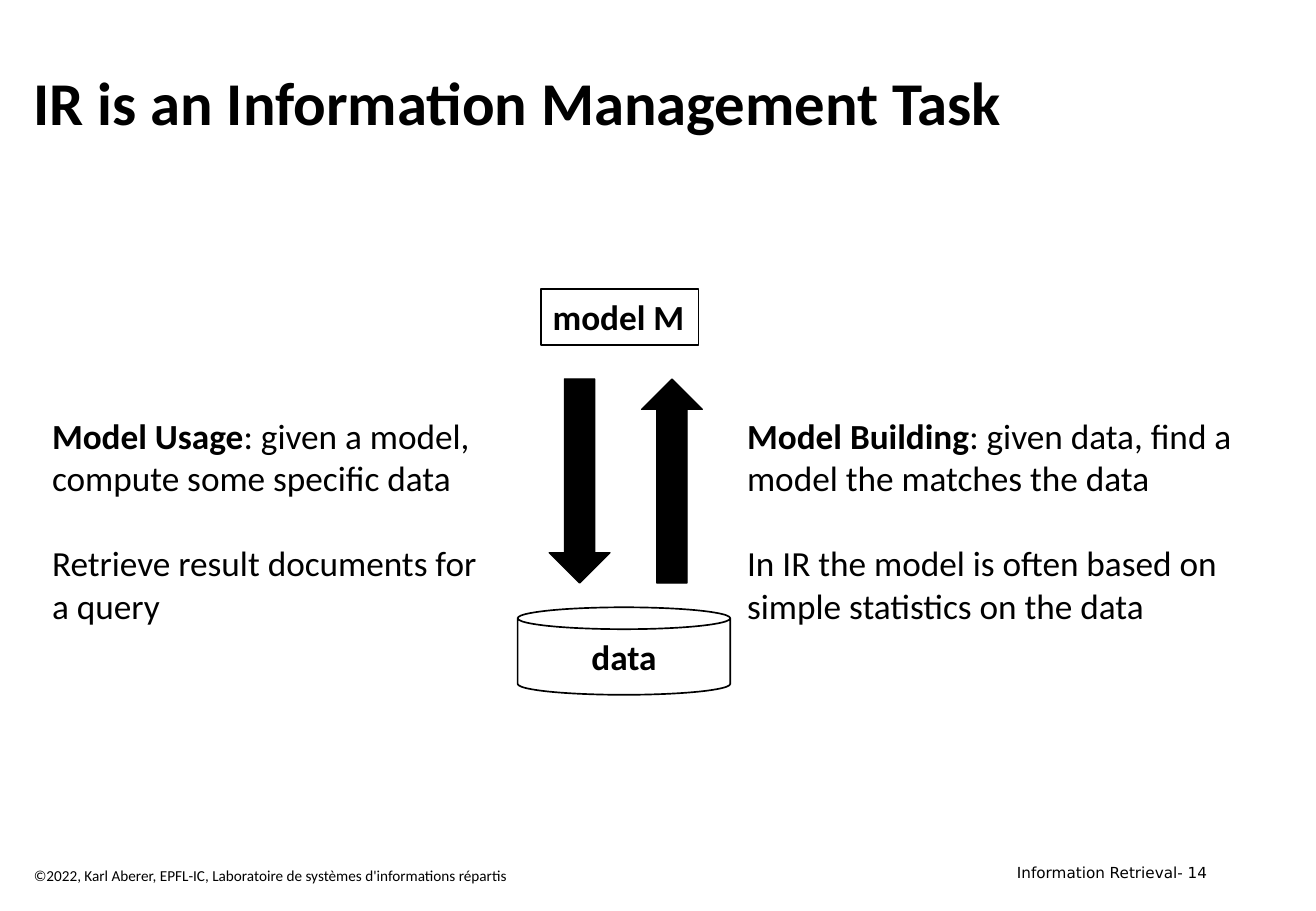
from dataclasses import dataclass

from pptx import Presentation
from pptx.dml.color import RGBColor
from pptx.enum.shapes import MSO_SHAPE as Shape
from pptx.enum.text import MSO_ANCHOR as Anchor, PP_ALIGN as Align
from pptx.util import Inches, Pt


@dataclass(frozen=True)
class Theme:
    ink: RGBColor = RGBColor(0, 0, 0)
    paper: RGBColor = RGBColor(255, 255, 255)
    font: str = "Calibri"
    page_font: str = "DejaVu Sans"
    title_size: float = 36
    body_size: float = 20.9
    footer_size: float = 9
    paragraph_gap: float = 25.5


class SlideBuilder:
    def __init__(self, deck, theme):
        self.theme = theme
        self.page = deck.slides.add_slide(deck.slide_layouts[6])

    def fill_text(self, box, paragraphs, size, align=Align.LEFT,
                  anchor=Anchor.TOP, font=None, wrap=True):
        """Fill a box with paragraphs, each a list of (text, bold) runs."""
        frame = box.text_frame
        frame.word_wrap = wrap
        frame.vertical_anchor = anchor
        for index, runs in enumerate(paragraphs):
            para = frame.add_paragraph() if index else frame.paragraphs[0]
            para.alignment = align
            if index:
                para.space_before = Pt(self.theme.paragraph_gap)
            for text, bold in runs:
                span = para.add_run()
                span.text = text
                span.font.name = font or self.theme.font
                span.font.size = Pt(size)
                span.font.bold = bold
                span.font.color.rgb = self.theme.ink

    def text(self, place, paragraphs, size, **options):
        box = self.page.shapes.add_textbox(*map(Inches, place))
        self.fill_text(box, paragraphs, size, **options)

    def shape(self, kind, place, fill, line_width):
        box = self.page.shapes.add_shape(kind, *map(Inches, place))
        box.shadow.inherit = False
        box.fill.solid()
        box.fill.fore_color.rgb = fill
        box.line.color.rgb = self.theme.ink
        box.line.width = Pt(line_width)
        return box

    def node(self, kind, place, label, **options):
        box = self.shape(kind, place, self.theme.paper, 1)
        self.fill_text(box, [[(label, True)]], self.theme.body_size, **options)

    def arrow(self, kind, left):
        self.shape(kind, (left, 3.12, 0.5, 1.68), self.theme.ink, 0.75)

    def explanation(self, left, width, term, definition, example):
        self.text((left, 3.36, width, 1.86),
                  [[(term, True), (definition, False)], [(example, False)]],
                  self.theme.body_size)


def main():
    deck = Presentation()
    deck.slide_width, deck.slide_height = Inches(10.83), Inches(7.5)
    theme = Theme()
    slide = SlideBuilder(deck, theme)

    slide.text((7.77, 7.06, 2.26, 0.25), [[("Information Retrieval- 14", False)]],
               theme.footer_size, align=Align.RIGHT, font=theme.page_font)
    slide.text((0.18, 0.33, 9.84, 1), [[("IR is an Information Management Task", True)]],
               theme.title_size, anchor=Anchor.MIDDLE)
    slide.text((0.18, 7.08, 6.95, 0.25),
               [[("©2022, Karl Aberer, EPFL-IC, Laboratoire de systèmes "
                  "d'informations répartis", False)]], theme.footer_size)

    slide.node(Shape.RECTANGLE, (4.45, 2.38, 1.3, 0.46), "model M", wrap=False)
    slide.node(Shape.CAN, (4.26, 5, 1.75, 0.72), "data",
               align=Align.CENTER, anchor=Anchor.MIDDLE)
    slide.arrow(Shape.DOWN_ARROW, 4.52)
    slide.arrow(Shape.UP_ARROW, 5.28)

    slide.explanation(0.33, 3.75, "Model Usage",
                      ": given a model, compute some specific data",
                      "Retrieve result documents for a query")
    slide.explanation(6.05, 4.52, "Model Building",
                      ": given data, find a model the matches the data",
                      "In IR the model is often based on simple statistics on the data")

    deck.save("out.pptx")


if __name__ == "__main__":
    main()
